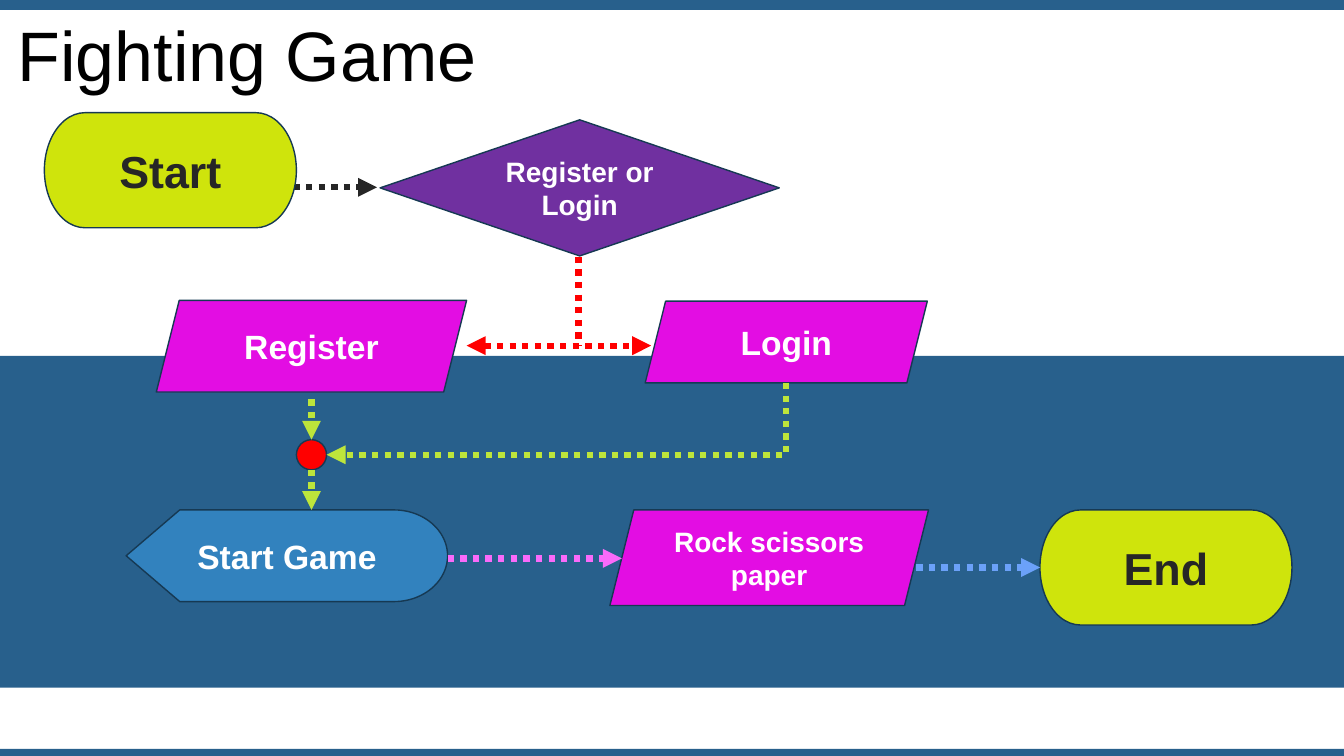
from dataclasses import dataclass

from lxml import etree
from pptx import Presentation
from pptx.dml.color import RGBColor
from pptx.enum.shapes import MSO_CONNECTOR, MSO_SHAPE
from pptx.enum.text import MSO_ANCHOR, PP_ALIGN
from pptx.oxml.ns import qn
from pptx.util import Cm, Pt

RECTANGLE = MSO_SHAPE.RECTANGLE
TERMINATOR = MSO_SHAPE.FLOWCHART_TERMINATOR
DECISION = MSO_SHAPE.DIAMOND
DATA = MSO_SHAPE.PARALLELOGRAM
DISPLAY = MSO_SHAPE.FLOWCHART_DISPLAY
CIRCLE = MSO_SHAPE.OVAL
STRAIGHT = MSO_CONNECTOR.STRAIGHT
ELBOW = MSO_CONNECTOR.ELBOW
CENTER = PP_ALIGN.CENTER
MIDDLE = MSO_ANCHOR.MIDDLE
LEFT_SIDE = 1

SLIDE_WIDTH, SLIDE_HEIGHT = 33.87, 19.05


@dataclass(frozen=True)
class Theme:
    font: str = "Arial"
    title_size: int = 50
    terminal_size: int = 32
    step_size: int = 24
    small_size: int = 20
    outline_width: float = 1
    arrow_width: float = 4.5
    black: str = "000000"
    white: str = "FFFFFF"
    dark: str = "262626"
    navy: str = "28608C"
    outline: str = "163953"
    lime: str = "CFE40C"
    purple: str = "7030A0"
    magenta: str = "E30DE3"
    blue: str = "3282BE"
    red: str = "FF0000"
    green_arrow: str = "BDE53B"
    pink_arrow: str = "FA6AFA"
    blue_arrow: str = "6BA1F9"


THEME = Theme()


def rgb(color):
    return RGBColor.from_string(color)


def write(frame, text, size, color, bold=True):
    """Fill a text frame with one centred paragraph."""
    frame.word_wrap = True
    frame.vertical_anchor = MIDDLE
    paragraph = frame.paragraphs[0]
    paragraph.alignment = CENTER
    run = paragraph.add_run()
    run.text = text
    run.font.name = THEME.font
    run.font.size = Pt(size)
    run.font.bold = bold
    run.font.color.rgb = rgb(color)
    return paragraph


def add_filled(slide, kind, box, fill):
    shape = slide.shapes.add_shape(kind, *map(Cm, box))
    shape.shadow.inherit = False
    shape.fill.solid()
    shape.fill.fore_color.rgb = rgb(fill)
    return shape


def add_band(slide, top, height):
    band = add_filled(slide, RECTANGLE, (0, top, SLIDE_WIDTH, height), THEME.navy)
    band.line.fill.background()


def add_title(slide, text, box):
    title = slide.shapes.add_textbox(*map(Cm, box))
    paragraph = write(title.text_frame, text, THEME.title_size, THEME.black, bold=False)
    paragraph.line_spacing = 0.8


def add_node(slide, kind, box, fill, text="", size=THEME.step_size, color=THEME.white):
    node = add_filled(slide, kind, box, fill)
    node.line.color.rgb = rgb(THEME.outline)
    node.line.width = Pt(THEME.outline_width)
    if text:
        write(node.text_frame, text, size, color)
    return node


def style_dotted(connector, color, head, tail):
    connector.line.color.rgb = rgb(color)
    connector.line.width = Pt(THEME.arrow_width)
    line = connector.line._get_or_add_ln()
    etree.SubElement(line, qn("a:prstDash"), val="sysDot")
    for shown, tag in ((head, "a:headEnd"), (tail, "a:tailEnd")):
        if shown:
            etree.SubElement(line, qn(tag), type="triangle")
    etree.SubElement(connector._element.spPr, qn("a:effectLst"))


def add_arrow(slide, start, end, color, head=False, tail=True):
    arrow = slide.shapes.add_connector(STRAIGHT, *map(Cm, start + end))
    style_dotted(arrow, color, head, tail)
    return arrow


def add_corner_arrow(slide, start, end, color):
    """Run down from start, then left to end: a one-bend connector turned 90 degrees."""
    across, down = start[0] - end[0], end[1] - start[1]
    left = (start[0] + end[0] - down) / 2
    top = (start[1] + end[1] - across) / 2
    corners = (left, top, left + down, top + across)
    arrow = slide.shapes.add_connector(ELBOW, *map(Cm, corners))
    properties = arrow._element.spPr
    properties.find(qn("a:xfrm")).set("rot", str(90 * 60000))
    properties.find(qn("a:prstGeom")).set("prst", "bentConnector2")
    style_dotted(arrow, color, head=False, tail=True)


def main():
    deck = Presentation()
    deck.slide_width, deck.slide_height = Cm(SLIDE_WIDTH), Cm(SLIDE_HEIGHT)
    slide = deck.slides.add_slide(deck.slide_layouts[6])

    for top, height in ((0, 0.25), (18.87, 0.18), (8.97, 8.36)):
        add_band(slide, top, height)
    add_title(slide, "Fighting Game", (0.15, 0.53, 12.17, 2.01))

    choice_x, fork_y, merge_x, merge_y = 14.58, 8.71, 7.85, 11.46
    lower_top = 12.85
    add_arrow(slide, (choice_x, 6.15), (choice_x, fork_y), THEME.red, tail=False)
    add_arrow(slide, (4.85, 4.72), (9.5, 4.72), THEME.dark)

    add_node(slide, TERMINATOR, (1.12, 2.84, 6.35, 2.9), THEME.lime,
             "Start", THEME.terminal_size, THEME.dark)
    add_node(slide, DECISION, (9.58, 3.02, 10.06, 3.43), THEME.purple,
             "Register or Login", THEME.small_size)
    add_node(slide, DATA, (3.94, 7.57, 7.82, 2.31), THEME.magenta, "Register")
    add_node(slide, DATA, (16.26, 7.59, 7.11, 2.06), THEME.magenta, "Login")
    add_node(slide, DISPLAY, (3.18, lower_top, 8.1, 2.31), THEME.blue, "Start Game")
    add_node(slide, DATA, (15.37, lower_top, 8.03, 2.41), THEME.magenta,
             "Rock scissors paper", THEME.small_size)
    end = add_node(slide, TERMINATOR, (26.21, lower_top, 6.35, 2.9), THEME.lime,
                   "End", THEME.terminal_size, THEME.dark)

    add_arrow(slide, (11.76, fork_y), (16.41, fork_y), THEME.red, head=True)
    radius = 0.38
    add_node(slide, CIRCLE, (merge_x - radius, merge_y - radius, 2 * radius, 2 * radius),
             THEME.red)
    add_arrow(slide, (merge_x, 10.06), (merge_x, merge_y - radius), THEME.green_arrow)
    add_corner_arrow(slide, (19.81, 9.65), (merge_x + radius, merge_y), THEME.green_arrow)
    add_arrow(slide, (merge_x, merge_y + radius), (merge_x, lower_top), THEME.green_arrow)
    add_arrow(slide, (11.28, 14.07), (15.67, 14.07), THEME.pink_arrow)
    to_end = add_arrow(slide, (23.09, 14.3), (26.21, 14.3), THEME.blue_arrow)
    to_end.end_connect(end, LEFT_SIDE)

    deck.save("out.pptx")


if __name__ == "__main__":
    main()
